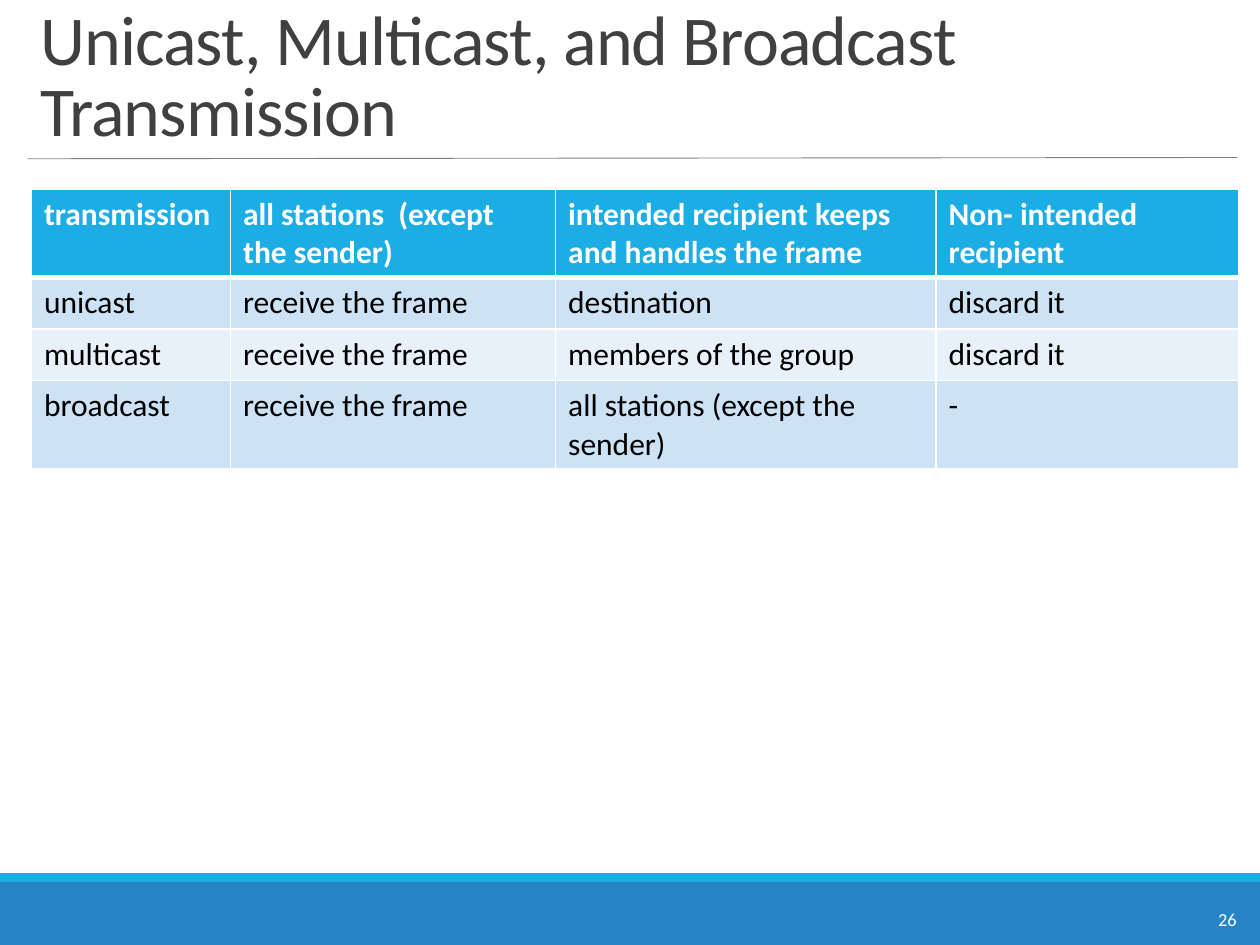
from lxml.etree import SubElement
from pptx import Presentation
from pptx.dml.color import RGBColor
from pptx.enum.shapes import MSO_CONNECTOR, MSO_SHAPE
from pptx.enum.text import MSO_ANCHOR, MSO_AUTO_SIZE, PP_ALIGN
from pptx.oxml.ns import qn
from pptx.util import Inches, Pt

WHITE = RGBColor(0xFF, 0xFF, 0xFF)
BLACK = RGBColor(0x00, 0x00, 0x00)
DARK_GRAY = RGBColor(0x40, 0x40, 0x40)
RULE_GRAY = RGBColor(0x80, 0x80, 0x80)
FOOTER_BLUE = RGBColor(0x26, 0x83, 0xC6)
ACCENT_BLUE = RGBColor(0x1C, 0xAD, 0xE4)
BAND_DARK = RGBColor(0xCD, 0xE3, 0xF5)
BAND_LIGHT = RGBColor(0xE8, 0xF1, 0xFA)

GRID_COLUMNS, GRID_ROWS = 100, 75
COLUMN_WIDTHS = [15.8, 25.8, 30.2, 24]
TRANSMISSIONS = [
    ["transmission", "all stations  (except the sender)",
     "intended recipient keeps and handles the frame", "Non- intended  recipient"],
    ["unicast", "receive the frame", "destination", "discard it"],
    ["multicast", "receive the frame", "members of the group", "discard it"],
    ["broadcast", "receive the frame", "all stations (except the sender)", "-"],
]


class SlideBuilder:
    """Places elements on a grid of GRID_COLUMNS by GRID_ROWS."""

    font = "Calibri"

    def __init__(self, presentation):
        self.slide = presentation.slides.add_slide(presentation.slide_layouts[5])
        self.column = presentation.slide_width / GRID_COLUMNS
        self.row = presentation.slide_height / GRID_ROWS

    def box(self, left, top, width, height):
        return (round(left * self.column), round(top * self.row),
                round(width * self.column), round(height * self.row))

    def format_text(self, text_frame, size, color, bold=False):
        for paragraph in text_frame.paragraphs:
            for run in paragraph.runs:
                run.font.name = self.font
                run.font.size = Pt(size)
                run.font.bold = bold
                run.font.color.rgb = color

    def title(self, text, *place):
        shape = self.slide.shapes.title
        shape.left, shape.top, shape.width, shape.height = self.box(*place)
        frame = shape.text_frame
        frame.text = text
        frame.word_wrap = True
        frame.auto_size = MSO_AUTO_SIZE.NONE
        frame.vertical_anchor = MSO_ANCHOR.BOTTOM
        paragraph = frame.paragraphs[0]
        paragraph.alignment = PP_ALIGN.LEFT
        paragraph.line_spacing = 0.85
        self.format_text(frame, 40, DARK_GRAY)
        for run in paragraph.runs:
            run.font._element.set("spc", "-50")

    def band(self, color, *place):
        shape = self.slide.shapes.add_shape(MSO_SHAPE.RECTANGLE, *self.box(*place))
        shape.shadow.inherit = False
        shape.fill.solid()
        shape.fill.fore_color.rgb = color
        shape.line.fill.background()

    def rule(self, *ends):
        line = self.slide.shapes.add_connector(MSO_CONNECTOR.STRAIGHT, *self.box(*ends))
        line.line.color.rgb = RULE_GRAY
        line.line.width = Pt(0.5)
        SubElement(line._element.spPr, qn("a:effectLst"))

    def page_number(self, text, *place):
        shape = self.slide.shapes.add_textbox(*self.box(*place))
        frame = shape.text_frame
        frame.text = text
        frame.word_wrap = False
        frame.auto_size = MSO_AUTO_SIZE.SHAPE_TO_FIT_TEXT
        self.format_text(frame, 10.5, WHITE)

    def border(self, cell, sides):
        """Draw white borders; sides maps a border tag to its width in points."""
        properties = cell._tc.get_or_add_tcPr()
        for side, width in sides.items():
            line = SubElement(properties, qn(f"a:{side}"), w=str(Pt(width)))
            fill = SubElement(line, qn("a:solidFill"))
            SubElement(fill, qn("a:srgbClr"), val=str(WHITE))

    def table(self, rows, widths, row_height, *place):
        frame = self.slide.shapes.add_table(len(rows), len(widths), *self.box(*place))
        table = frame.table
        for table_column, width in zip(table.columns, widths):
            table_column.width = round(width * self.column)
        for row_index, texts in enumerate(rows):
            table.rows[row_index].height = round(row_height * self.row)
            header = row_index == 0
            fill = ACCENT_BLUE if header else (BAND_LIGHT, BAND_DARK)[row_index % 2]
            sides = {"lnL": 1, "lnR": 1, "lnT": 3 if row_index == 1 else 1,
                     "lnB": 3 if header else 1}
            for column_index, text in enumerate(texts):
                cell = table.cell(row_index, column_index)
                cell.text_frame.text = text
                self.format_text(cell.text_frame, 18, WHITE if header else BLACK, header)
                self.border(cell, sides)
                cell.fill.solid()
                cell.fill.fore_color.rgb = fill
        frame.height = self.box(*place)[3]


def main():
    presentation = Presentation()
    presentation.slide_width, presentation.slide_height = Inches(10), Inches(7.5)
    builder = SlideBuilder(presentation)
    builder.band(FOOTER_BLUE, 0, 70, GRID_COLUMNS, 5)
    builder.band(ACCENT_BLUE, 0, 69.3, GRID_COLUMNS, 0.7)
    builder.rule(2.2, 12.6, 98.2, 12.5)
    builder.page_number("26", 95.7, 71.6, 3.7, 2.8)
    builder.title("Unicast, Multicast, and Broadcast Transmission", 2.2, 2.5, 96, 10)
    builder.table(TRANSMISSIONS, COLUMN_WIDTHS, 4.1, 2.5, 15, sum(COLUMN_WIDTHS), 22.1)
    presentation.save("out.pptx")


if __name__ == "__main__":
    main()
